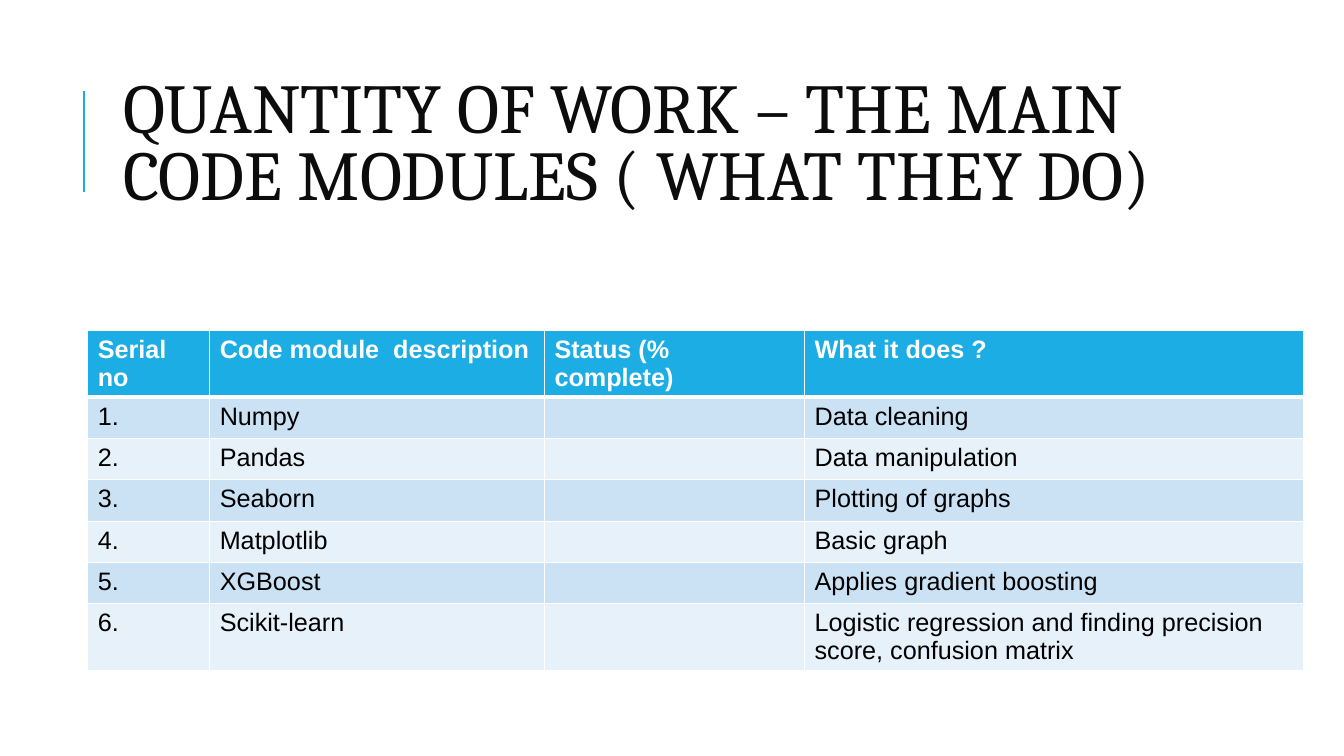
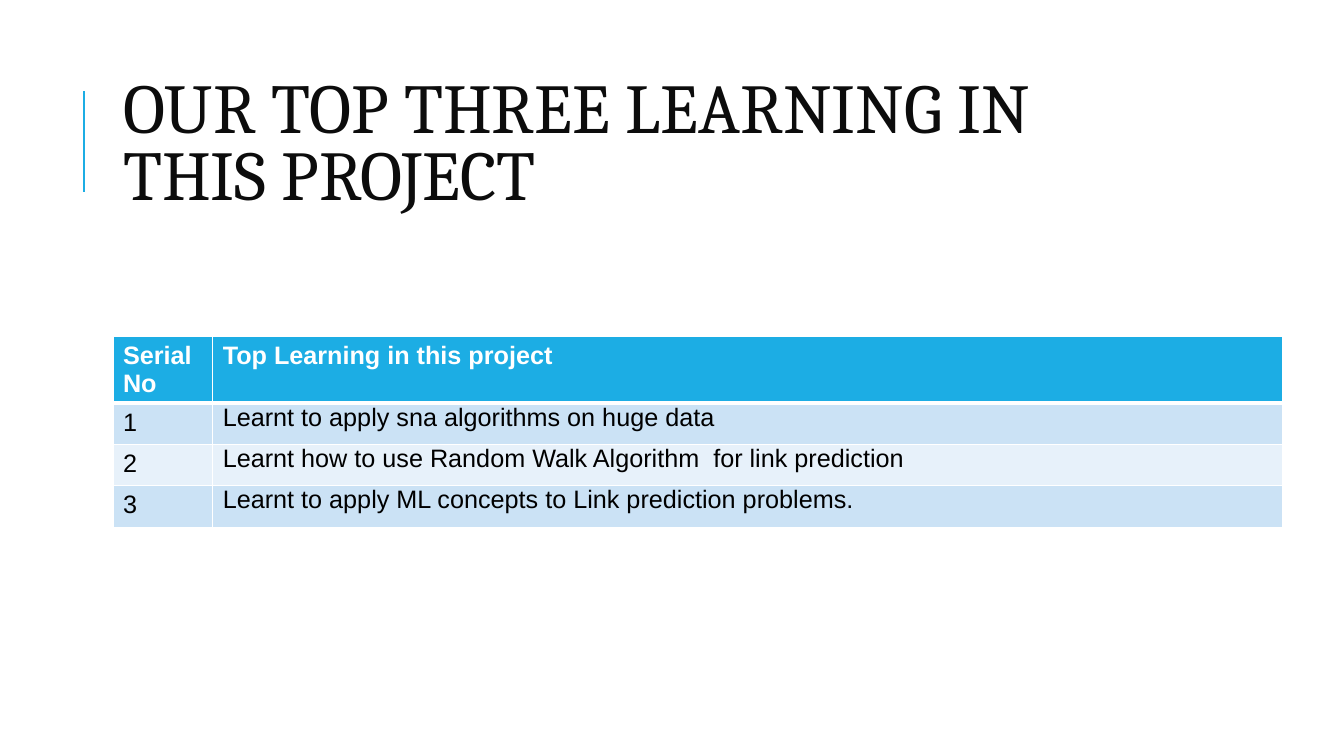
from lxml import etree
from pptx import Presentation
from pptx.dml.color import RGBColor
from pptx.enum.shapes import MSO_CONNECTOR
from pptx.enum.text import MSO_ANCHOR, MSO_AUTO_SIZE, PP_ALIGN
from pptx.oxml.ns import qn
from pptx.util import Inches, Pt

LINE = MSO_CONNECTOR.STRAIGHT
MIDDLE = MSO_ANCHOR.MIDDLE
FIXED = MSO_AUTO_SIZE.NONE
LEFT = PP_ALIGN.LEFT


def color(code):
    return RGBColor.from_string(code)


class Deck:
    blue = "1CADE4"
    white = "FFFFFF"
    black = "000000"
    ink = "0C0C0C"
    bands = ("CBE2F5", "E7F1FA")
    row = Inches(0.41)
    tall = Inches(0.64)

    def __init__(self):
        self.deck = Presentation()
        self.deck.slide_width = Inches(13.33)
        self.deck.slide_height = Inches(7.5)
        self.slide = None

    def start(self, text, width):
        self.slide = self.deck.slides.add_slide(self.deck.slide_layouts[5])
        self.accent()
        self.title(text, width)

    def accent(self):
        x = Inches(0.83)
        bar = self.slide.shapes.add_connector(LINE, x, Inches(1.9), x, Inches(0.9))
        bar.line.color.rgb = color(self.blue)
        bar.line.width = Pt(1.5)
        etree.SubElement(bar._element.spPr, qn("a:effectLst"))

    def title(self, text, width):
        box = self.slide.shapes.title
        box.left, box.top = Inches(1.12), Inches(0.64)
        box.width, box.height = Inches(width), Inches(1.64)
        frame = box.text_frame
        frame.text = text
        frame.word_wrap = True
        frame.auto_size = FIXED
        frame.vertical_anchor = MIDDLE
        line = frame.paragraphs[0]
        line.alignment = LEFT
        line.line_spacing = 0.8
        self.style(line, "Cambria", 50, self.ink)

    def style(self, line, face, size, code, bold=False):
        for run in line.runs:
            font = run.font
            font.name, font.size, font.bold = face, Pt(size), bold
            font.color.rgb = color(code)

    def table(self, left, top, widths, rows, high=(0,), raised=()):
        heights = [self.tall if r in high else self.row for r in range(len(rows))]
        grid = self.slide.shapes.add_table(
            len(rows), len(widths), Inches(left), Inches(top),
            Inches(sum(widths)), sum(heights)).table
        for col, width in zip(grid.columns, widths):
            col.width = Inches(width)
        for r, texts in enumerate(rows):
            grid.rows[r].height = heights[r]
            for c, text in enumerate(texts):
                cell = grid.cell(r, c)
                self.cell(cell, text, r)
                if r and c in raised:
                    cell.margin_top, cell.margin_bottom = 0, Inches(0.12)

    def cell(self, cell, text, r):
        head = r == 0
        cell.text_frame.text = text
        for line in cell.text_frame.paragraphs:
            self.style(line, "Arial", 18, self.white if head else self.black, head)
        cell.fill.solid()
        cell.fill.fore_color.rgb = color(self.blue if head else self.bands[(r - 1) % 2])
        self.edges(cell, 3 if r == 1 else 1, 3 if head else 1)

    def edges(self, cell, top, base):
        props = cell._tc.get_or_add_tcPr()
        sides = (("L", 1), ("R", 1), ("T", top), ("B", base))
        for spot, (side, width) in enumerate(sides):
            edge = etree.Element(qn("a:ln" + side), w=str(Pt(width)))
            fill = etree.SubElement(edge, qn("a:solidFill"))
            etree.SubElement(fill, qn("a:srgbClr"), val=self.white)
            props.insert(spot, edge)

    def save(self):
        self.deck.save("out.pptx")


def main():
    deck = Deck()

    deck.start("QUANTITY OF WORK – THE MAIN CODE MODULES ( WHAT THEY DO)", 10.89)
    deck.table(0.87, 3.28, (1.21, 3.32, 2.58, 4.95), (
        ("Serial no", "Code module  description", "Status (% complete)", "What it does ?"),
        ("1.", "Numpy", "", "Data cleaning"),
        ("2.", "Pandas", "", "Data manipulation"),
        ("3.", "Seaborn", "", "Plotting of graphs"),
        ("4.", "Matplotlib", "", "Basic graph"),
        ("5.", "XGBoost", "", "Applies gradient boosting"),
        ("6.", "Scikit-learn", "",
         "Logistic regression and finding precision score, confusion matrix"),
    ), high=(0, 6))

    deck.start("OUR TOP THREE LEARNING IN THIS PROJECT", 10.63)
    deck.table(1.12, 3.34, (0.99, 10.61), (
        ("Serial\nNo", "Top Learning in this project"),
        ("1", "Learnt to apply sna algorithms on huge data"),
        ("2", "Learnt how to use Random Walk Algorithm  for link prediction"),
        ("3", "Learnt to apply ML concepts to Link prediction problems."),
    ), raised=(1,))

    deck.save()


if __name__ == "__main__":
    main()
